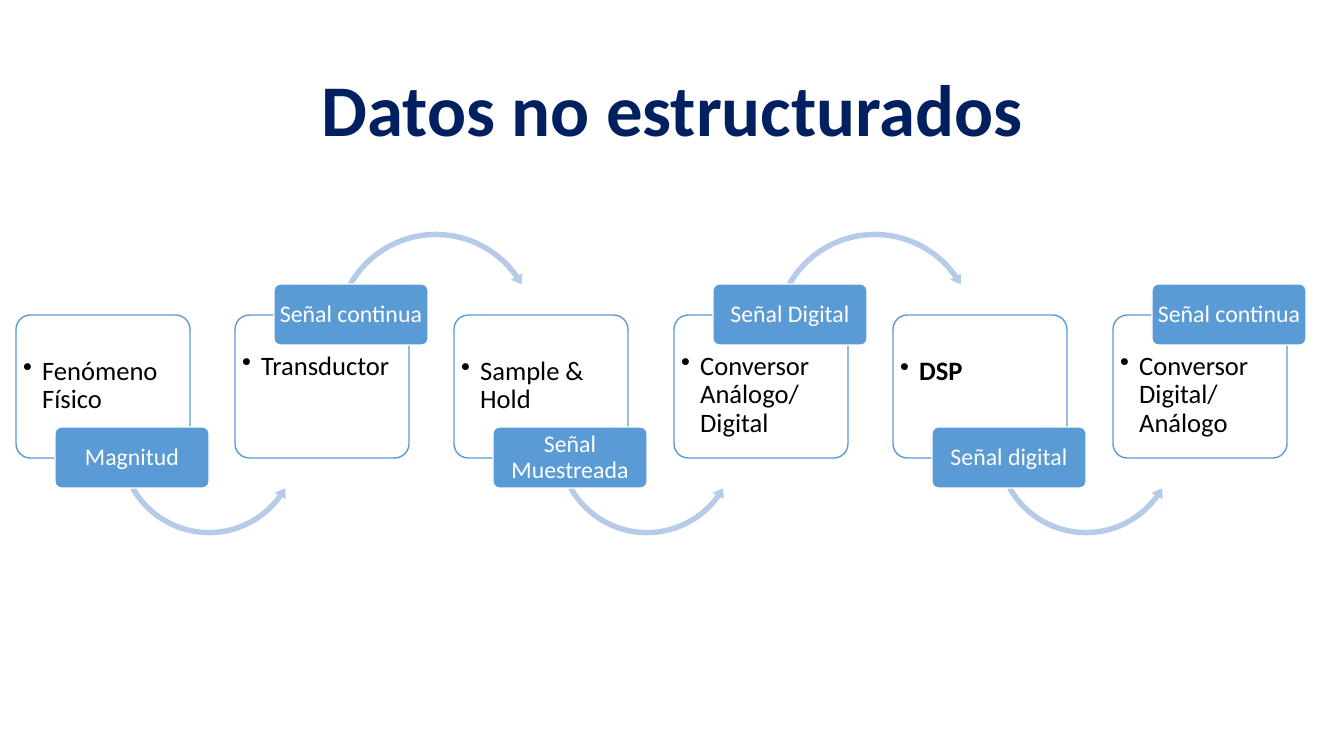
import pptx
import pptx.util
import pptx.dml.color
import pptx.enum.shapes
import pptx.enum.text
import pptx.oxml
import pptx.oxml.ns

PX = 914400 / 100.8
COLORS = {"title": "002060", "accent": "5B9BD5", "arrow": "B5CBE7",
          "white": "FFFFFF", "black": "000000"}
SHAPES = pptx.enum.shapes.MSO_SHAPE
ALIGN = pptx.enum.text.PP_ALIGN
ANCHOR = pptx.enum.text.MSO_ANCHOR

STAGES = [
    ("Fenómeno Físico", "Magnitud"),
    ("Transductor", "Señal continua"),
    ("Sample & Hold", "Señal Muestreada"),
    ("Conversor Análogo/ Digital", "Señal Digital"),
    ("DSP", "Señal digital"),
    ("Conversor Digital/ Análogo", "Señal continua"),
]
LOW = {"tag_top": 112, "text_top": 38, "arrow": (99, 36, 188),
       "arrow_kind": SHAPES.LEFT_CIRCULAR_ARROW,
       "arc": (2.9, 6.02, 35.61, 150.41, 3.4)}
HIGH = {"tag_top": -31, "text_top": 33, "arrow": (96, -87, 210),
        "arrow_kind": SHAPES.CIRCULAR_ARROW,
        "arc": (2.6, 5.35, 325.06, 209.59, 3.1)}


def px(length):
    """Turn pixels into EMU."""
    return pptx.util.Emu(round(length * PX))


def color(name):
    """Look up a named colour."""
    return pptx.dml.color.RGBColor.from_string(COLORS[name])


def assign(target, values):
    """Set every attribute in a dict of values."""
    for attribute, value in values.items():
        setattr(target, attribute, value)


def write(frame, text, size, ink, align, anchor, margins, bold=False):
    """Put one formatted paragraph in a text frame and return it."""
    left, top, right, bottom = map(px, margins)
    assign(frame, {"word_wrap": True, "vertical_anchor": anchor,
                   "auto_size": pptx.enum.text.MSO_AUTO_SIZE.NONE,
                   "margin_left": left, "margin_top": top,
                   "margin_right": right, "margin_bottom": bottom})
    paragraph = frame.paragraphs[0]
    assign(paragraph, {"alignment": align, "line_spacing": 0.9})
    run = paragraph.add_run()
    run.text = text
    assign(run.font, {"name": "Calibri", "size": pptx.util.Pt(size), "bold": bold})
    run.font.color.rgb = color(ink)
    return paragraph


def add_block(slide, kind, box, fill, line=None):
    """Add a filled preset shape, outlined when a line colour is given."""
    block = slide.shapes.add_shape(kind, *map(px, box))
    block.shadow.inherit = False
    block.fill.solid()
    block.fill.fore_color.rgb = color(fill)
    if line:
        block.line.color.rgb = color(line)
        block.line.width = pptx.util.Pt(1)
    else:
        block.line.fill.background()
    return block


def add_rounded(slide, box, fill, line):
    """Add a rounded box with small corners."""
    rounded = add_block(slide, SHAPES.ROUNDED_RECTANGLE, box, fill, line)
    rounded.adjustments[0] = 0.1
    return rounded


def add_bullet(paragraph, indent):
    """Give a paragraph a hanging round bullet."""
    properties = paragraph._p.get_or_add_pPr()
    properties.set("marL", str(px(indent)))
    properties.set("indent", str(-px(indent)))
    bullet = pptx.oxml.parse_xml(
        f'<a:buChar {pptx.oxml.ns.nsdecls("a")} char="•"/>')
    properties.append(bullet)


def add_card(slide, box, label, text_top):
    """Draw the outlined card that names a stage."""
    card = add_rounded(slide, box, "white", "accent")
    tint = card.element.spPr.find(".//" + pptx.oxml.ns.qn("a:srgbClr"))
    tint.append(pptx.oxml.parse_xml(
        f'<a:alpha {pptx.oxml.ns.nsdecls("a")} val="90000"/>'))
    paragraph = write(card.text_frame, label, 19, "black", ALIGN.LEFT,
                      ANCHOR.TOP, (3, text_top, 3, 0), bold=label == "DSP")
    add_bullet(paragraph, 19)


def add_arrow(slide, left, top, side):
    """Draw the curved arrow that leads to the next stage."""
    across, down, size = side["arrow"]
    arrow = add_block(slide, side["arrow_kind"],
                      (left + across, top + down, size, size), "arrow")
    width, head, end, start, tip = side["arc"]
    values = [width / 100, head * 0.6, end * 0.6, start * 0.6, tip / 100]
    for index, value in enumerate(values):
        arrow.adjustments[index] = value


def add_stage(slide, box, label, signal, side, leads_on):
    """Draw one stage: its card, arrow and signal tag."""
    left, top = box[:2]
    add_card(slide, box, label, side["text_top"])
    if leads_on:
        add_arrow(slide, left, top, side)
    tag = add_rounded(slide, (left + 39, top + side["tag_top"], 154, 61),
                      "accent", "white")
    write(tag.text_frame, signal, 17, "white", ALIGN.CENTER, ANCHOR.MIDDLE,
          (3, 1, 3, 1))


def add_process(slide, box):
    """Spread the stages over a box, with tags low and high in turn."""
    left, top, width, height = box
    card_width, last = 174, len(STAGES) - 1
    for index, (label, signal) in enumerate(STAGES):
        stage_left = left + (width - card_width) * index // last
        add_stage(slide, (stage_left, top, card_width, height), label, signal,
                  HIGH if index % 2 else LOW, index < last)


def add_title(slide, box):
    """Place and format the slide title."""
    title = slide.shapes.title
    assign(title, dict(zip(("left", "top", "width", "height"), map(px, box))))
    write(title.text_frame, "Datos no estructurados", 52, "title",
          ALIGN.CENTER, ANCHOR.MIDDLE, (10, 5, 10, 5), bold=True)


def main():
    """Build and save the presentation."""
    presentation = pptx.Presentation()
    assign(presentation, {"slide_width": px(1344), "slide_height": px(756)})
    slide = presentation.slides.add_slide(presentation.slide_layouts[5])
    add_title(slide, (93, 40, 1159, 146))
    add_process(slide, (16, 315, 1271, 143))
    presentation.save("out.pptx")


if __name__ == "__main__":
    main()
